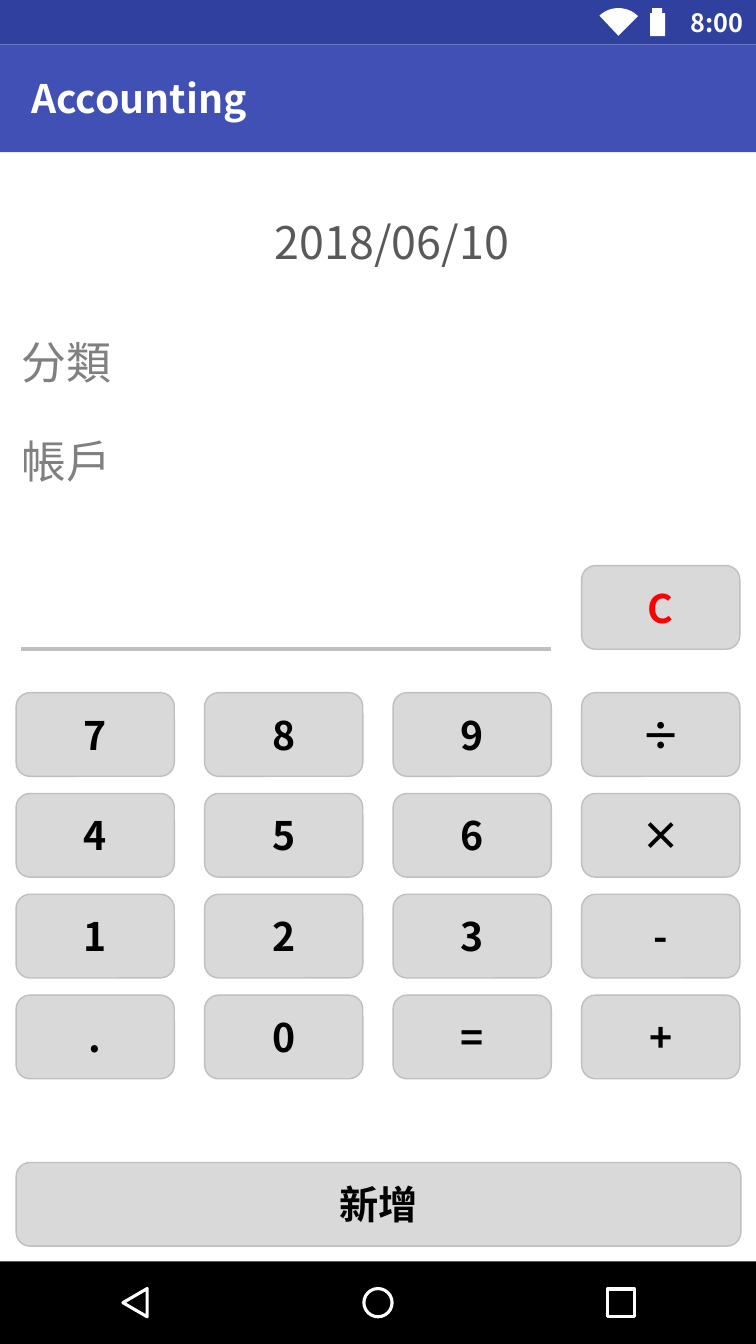
from lxml import etree
from pptx import Presentation
from pptx.dml.color import RGBColor
from pptx.enum.shapes import MSO_CONNECTOR, MSO_SHAPE
from pptx.enum.text import MSO_ANCHOR, MSO_AUTO_SIZE, PP_ALIGN
from pptx.oxml.ns import qn
from pptx.util import Inches, Pt

RECT, ROUND = MSO_SHAPE.RECTANGLE, MSO_SHAPE.ROUNDED_RECTANGLE
PIE, OVAL, TRIANGLE = MSO_SHAPE.PIE, MSO_SHAPE.OVAL, MSO_SHAPE.ISOSCELES_TRIANGLE
LEFT, CENTER = PP_ALIGN.LEFT, PP_ALIGN.CENTER
TOP, MIDDLE = MSO_ANCHOR.TOP, MSO_ANCHOR.MIDDLE
STRAIGHT, FIXED = MSO_CONNECTOR.STRAIGHT, MSO_AUTO_SIZE.NONE

WIDTH, HEIGHT = 7.5, 13.33
FONT = "Noto Sans CJK SC"
WHITE, BLACK, RED = "FFFFFF", "000000", "FF0000"
KEY, EDGE = "D9D9D9", "BFBFBF"
KEY_W, KEY_H = 1.57, 0.83
STEP_X, STEP_Y = 1.87, 1.0
KEYS = ["789÷", "456×", "123-", ".0=+"]


def color(value):
    return RGBColor.from_string(value)


def write(shape, text, size, ink, bold=False, align=CENTER, anchor=TOP):
    frame = shape.text_frame
    frame.text = text
    frame.word_wrap = True
    frame.auto_size = FIXED
    frame.vertical_anchor = anchor
    line = frame.paragraphs[0]
    line.alignment = align
    font = line.runs[0].font
    font.size, font.bold, font.name = Pt(size), bold, FONT
    font.color.rgb = color(ink)
    etree.SubElement(line.runs[0]._r.rPr, qn("a:ea"), typeface=FONT)


def draw(slide, kind, box, fill=None, edge=None, weight=1):
    shape = slide.shapes.add_shape(kind, *map(Inches, box))
    shape.shadow.inherit = False
    if fill:
        shape.fill.solid()
        shape.fill.fore_color.rgb = color(fill)
    else:
        shape.fill.background()
    if edge:
        shape.line.color.rgb = color(edge)
        shape.line.width = Pt(weight)
    else:
        shape.line.fill.background()
    return shape


def label(slide, box, *args, **style):
    write(slide.shapes.add_textbox(*map(Inches, box)), *args, **style)


def button(slide, box, text, ink=BLACK):
    key = draw(slide, ROUND, box, KEY, EDGE)
    write(key, text, 28, ink, bold=True, anchor=MIDDLE)


def status(slide, box):
    x, y, w, h = box
    draw(slide, RECT, box, "30409F")
    wifi = draw(slide, PIE, (x + 5.86, y + 0.08, 0.55, 0.55), WHITE)
    wifi.adjustments[0], wifi.adjustments[1] = 108.98, 162
    wifi.rotation = 45
    draw(slide, RECT, (x + 6.47, y + 0.08, 0.1, 0.05), WHITE)
    draw(slide, RECT, (x + 6.45, y + 0.13, 0.15, 0.23), WHITE)
    label(slide, (x + 6.75, y + 0.02, 0.75, 0.4), "8:00", 18, WHITE,
          bold=True, align=LEFT)


def header(slide, box):
    x, y, w, h = box
    draw(slide, RECT, box, "4050B5")
    title = slide.shapes.title
    slide.shapes._spTree.append(title._element)
    title.left, title.top = Inches(x + 0.21), Inches(y + 0.25)
    title.width, title.height = Inches(2.86), Inches(0.57)
    write(title, "Accounting", 28, WHITE, bold=True, align=LEFT)


def form(slide, box):
    x, y, w, h = box
    label(slide, (x + 2.45, y + 0.57, 2.88, 0.64), "2018/06/10", 32, "595959")
    for row, name in enumerate(["分類", "帳戶"]):
        label(slide, (x + 0.09, y + 1.76 + 0.98 * row, 1.14, 0.64),
              name, 32, "808080")
    base = Inches(y + h)
    rule = slide.shapes.add_connector(
        STRAIGHT, Inches(x + 5.47), base, Inches(x + 0.21), base)
    rule.line.color.rgb = color(EDGE)
    rule.line.width = Pt(3)
    etree.SubElement(rule._element.spPr, qn("a:effectLst"))


def keypad(slide, box):
    x, y, w, h = box
    button(slide, (x + 3 * STEP_X, y - 1.26, KEY_W, KEY_H), "C", RED)
    for row, signs in enumerate(KEYS):
        for col, sign in enumerate(signs):
            spot = (x + col * STEP_X, y + row * STEP_Y, KEY_W, KEY_H)
            button(slide, spot, sign)
    button(slide, (x, y + h - KEY_H, w, KEY_H), "新增")


def navbar(slide, box):
    x, y, w, h = box
    draw(slide, RECT, box, BLACK)
    mid = y + h / 2
    icons = [(TRIANGLE, 1.34, 0.28, 0.24, 270), (OVAL, 3.75, 0.28, 0.28, 0),
             (RECT, 6.16, 0.27, 0.27, 0)]
    for kind, at, wide, tall, turn in icons:
        spot = (x + at - wide / 2, mid - tall / 2, wide, tall)
        draw(slide, kind, spot, edge=WHITE, weight=2.25).rotation = turn


def main():
    deck = Presentation()
    deck.slide_width, deck.slide_height = Inches(WIDTH), Inches(HEIGHT)
    slide = deck.slides.add_slide(deck.slide_layouts[5])
    status(slide, (0, 0, WIDTH, 0.44))
    header(slide, (0, 0.44, WIDTH, 1.07))
    form(slide, (0, 1.51, WIDTH, 4.93))
    keypad(slide, (0.16, 6.87, 7.19, 5.49))
    navbar(slide, (0, 12.51, WIDTH, 0.82))
    deck.save("out.pptx")


if __name__ == "__main__":
    main()
